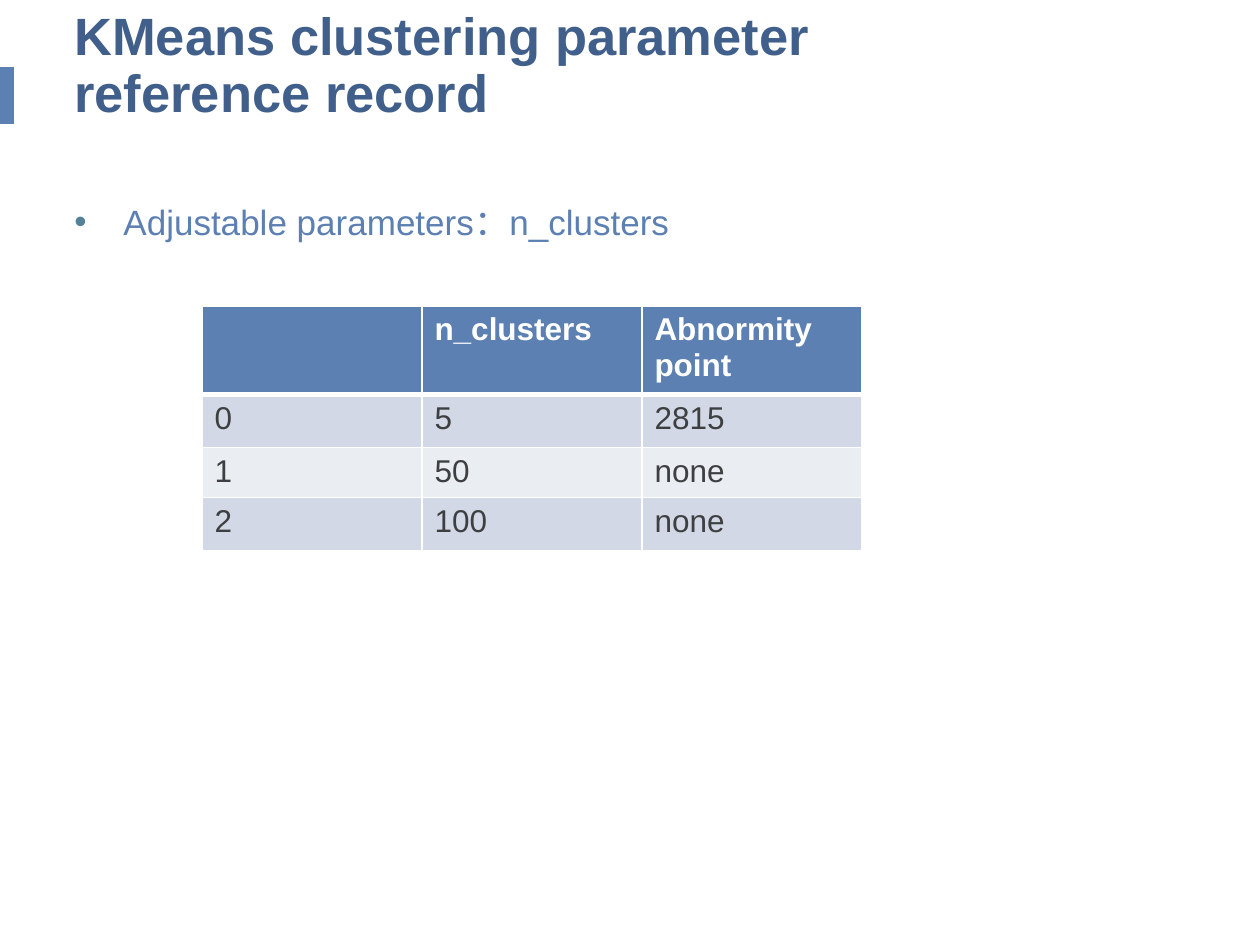
"""Builds the KMeans clustering parameter reference slide."""
from dataclasses import dataclass, field

import lxml.etree
import pptx
import pptx.dml.color
import pptx.enum.shapes
import pptx.enum.text
import pptx.oxml.ns
import pptx.util

EMU_PER_PX = 914400 / 126
COLORS = {
    "accent": "5D80B3",
    "title": "415F8B",
    "bullet": "528199",
    "white": "FFFFFF",
    "cell_text": "3D3F41",
    "band_dark": "D2D8E5",
    "band_light": "EAEDF2",
}
TABLE_ROWS = [
    ["", "n_clusters", "Abnormity point"],
    ["0", "5", "2815"],
    ["1", "50", "none"],
    ["2", "100", "none"],
]
ROW_HEIGHTS = [53, 53, 50, 53]
COLUMN_WIDTH = 220


@dataclass
class Box:
    """Position and size in px."""
    left: int
    top: int
    width: int
    height: int

    def emu(self) -> list:
        return [px(value) for value in (self.left, self.top, self.width, self.height)]


@dataclass
class TextItem:
    """A text box with one paragraph."""
    text: str
    box: Box
    color: str
    font: dict
    frame: dict = field(default_factory=dict)
    paragraph: dict = field(default_factory=dict)
    bullet: str = ""


def px(value: int) -> int:
    """Turn px into EMU."""
    return pptx.util.Emu(round(value * EMU_PER_PX))


def rgb(name: str):
    """Look up a named colour."""
    return pptx.dml.color.RGBColor.from_string(COLORS[name])


def apply_format(target, values: dict) -> None:
    """Set every attribute in values on target."""
    for name, value in values.items():
        setattr(target, name, value)


def add_element(parent, tag: str, **attributes: str):
    """Append a DrawingML element."""
    element = lxml.etree.SubElement(parent, pptx.oxml.ns.qn(tag))
    for name, value in attributes.items():
        element.set(name, value)
    return element


def write_run(paragraph, text: str, color: str, font: dict) -> None:
    """Add one formatted run."""
    run = paragraph.add_run()
    run.text = text
    apply_format(run.font, {"name": "Arial", **font})
    run.font.color.rgb = rgb(color)


def add_bullet(paragraph, character: str, indent: int) -> None:
    """Give the paragraph a coloured bullet and hanging indent."""
    properties = paragraph._p.get_or_add_pPr()
    properties.set("marL", str(px(indent)))
    properties.set("indent", str(-px(indent)))
    color = add_element(properties, "a:buClr")
    add_element(color, "a:srgbClr", val=COLORS["bullet"])
    add_element(properties, "a:buFont", typeface="Arial")
    add_element(properties, "a:buChar", char=character)


def add_text(slide, item: TextItem) -> None:
    """Draw a text item."""
    frame = slide.shapes.add_textbox(*item.box.emu()).text_frame
    apply_format(frame, {"word_wrap": True, **item.frame})
    paragraph = frame.paragraphs[0]
    apply_format(paragraph, item.paragraph)
    if item.bullet:
        add_bullet(paragraph, item.bullet, 49)
    write_run(paragraph, item.text, item.color, item.font)


def add_bar(slide, box: Box) -> None:
    """Draw the accent bar at the left edge."""
    shape = slide.shapes.add_shape(pptx.enum.shapes.MSO_SHAPE.RECTANGLE, *box.emu())
    shape.shadow.inherit = False
    shape.fill.solid()
    shape.fill.fore_color.rgb = rgb("accent")
    shape.line.fill.background()


def add_border(cell, side: str, points: int) -> None:
    """Draw a white border on one side of a cell."""
    properties = cell._tc.get_or_add_tcPr()
    line = add_element(properties, f"a:ln{side}", w=str(pptx.util.Pt(points)))
    fill = add_element(line, "a:solidFill")
    add_element(fill, "a:srgbClr", val=COLORS["white"])


def format_cell(cell, text: str, row: int) -> None:
    """Fill, border and write one cell."""
    header = row == 0
    borders = {"L": 1, "R": 1, "T": 3 if row == 1 else 1, "B": 3 if header else 1}
    for side, points in borders.items():
        add_border(cell, side, points)
    band = "band_dark" if row % 2 else "band_light"
    cell.fill.solid()
    cell.fill.fore_color.rgb = rgb("accent" if header else band)
    if text:
        font = {"size": pptx.util.Pt(18), "bold": header}
        color = "white" if header else "cell_text"
        write_run(cell.text_frame.paragraphs[0], text, color, font)


def add_parameter_table(slide, left: int, top: int) -> None:
    """Draw the parameter table."""
    column_count = len(TABLE_ROWS[0])
    box = Box(left, top, COLUMN_WIDTH * column_count, sum(ROW_HEIGHTS))
    table = slide.shapes.add_table(len(TABLE_ROWS), column_count, *box.emu()).table
    for column in table.columns:
        column.width = px(COLUMN_WIDTH)
    for index, (height, texts) in enumerate(zip(ROW_HEIGHTS, TABLE_ROWS)):
        table.rows[index].height = px(height)
        for column, text in enumerate(texts):
            format_cell(table.cell(index, column), text, index)


def main() -> None:
    """Build and save the slide."""
    presentation = pptx.Presentation()
    apply_format(presentation, {"slide_width": px(1260), "slide_height": px(945)})
    slide = presentation.slides.add_slide(presentation.slide_layouts[6])
    add_bar(slide, Box(0, 67, 14, 57))
    items = [
        TextItem(
            "KMeans clustering parameter reference record",
            Box(62, 34, 917, 96),
            "title",
            {"size": pptx.util.Pt(30), "bold": True},
            frame={"vertical_anchor": pptx.enum.text.MSO_ANCHOR.BOTTOM},
            paragraph={"line_spacing": 0.9},
        ),
        TextItem(
            "Adjustable parameters：n_clusters",
            Box(62, 190, 1138, 665),
            "accent",
            {"size": pptx.util.Pt(20)},
            paragraph={
                "alignment": pptx.enum.text.PP_ALIGN.JUSTIFY,
                "line_spacing": 1.1,
                "space_before": pptx.util.Pt(18),
            },
            bullet="•",
        ),
    ]
    for item in items:
        add_text(slide, item)
    add_parameter_table(slide, 202, 306)
    presentation.save("out.pptx")


if __name__ == "__main__":
    main()
